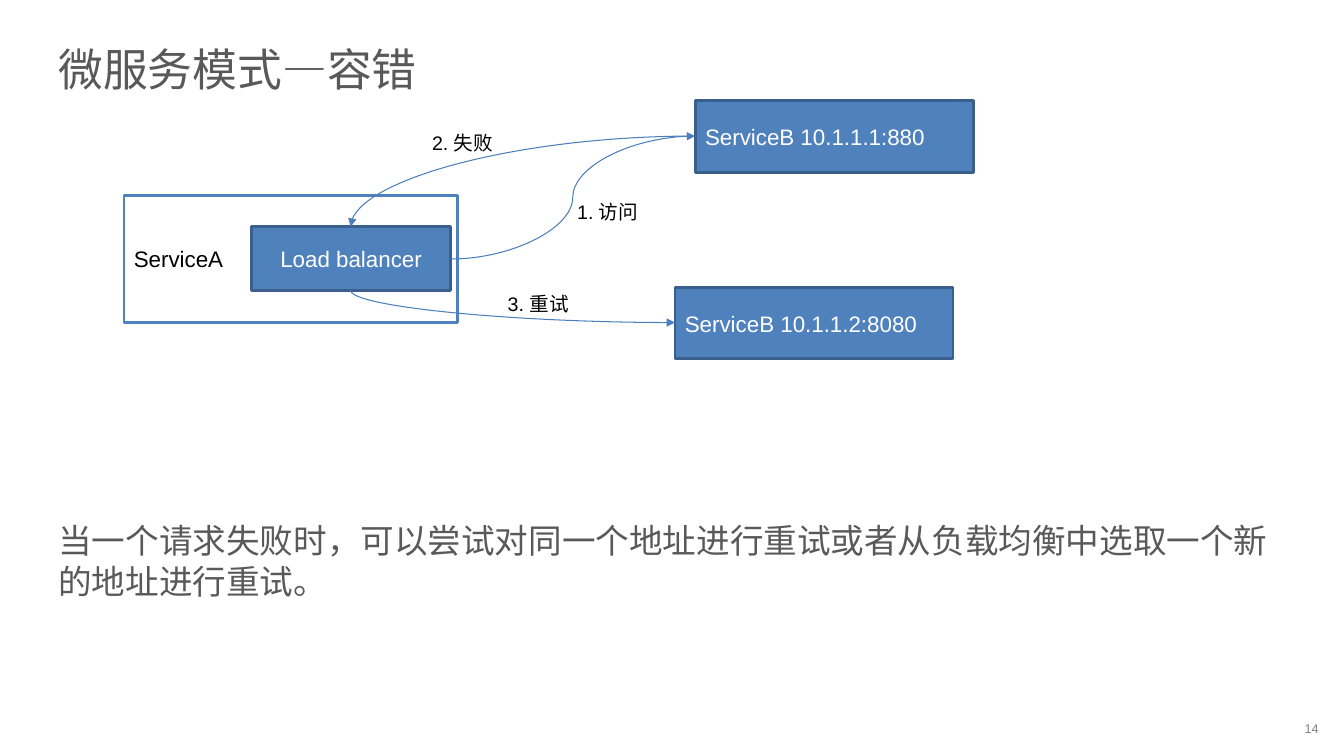
from dataclasses import dataclass

from lxml import etree
from pptx import Presentation
from pptx.dml.color import RGBColor
from pptx.enum.shapes import MSO_CONNECTOR as CONN, MSO_SHAPE as SHAPE
from pptx.enum.text import MSO_ANCHOR as ANCHOR, MSO_AUTO_SIZE as AUTO, PP_ALIGN as ALIGN
from pptx.oxml.ns import qn
from pptx.util import Emu, Pt

PX = 9144  # 100 px to the inch

WHITE = RGBColor(0xFF, 0xFF, 0xFF)
BLACK = RGBColor(0x00, 0x00, 0x00)
BLUE = RGBColor(0x4F, 0x81, 0xBD)
DARK_BLUE = RGBColor(0x3A, 0x5F, 0x8C)
ARROW_BLUE = RGBColor(0x4B, 0x7E, 0xBC)
TEXT_GRAY = RGBColor(0x59, 0x59, 0x59)
NUMBER_GRAY = RGBColor(0x80, 0x80, 0x80)


@dataclass
class Box:
    text: str
    x: int
    y: int
    w: int
    h: int
    fill: RGBColor = BLUE
    line: RGBColor = DARK_BLUE
    color: RGBColor = WHITE
    align: ALIGN = ALIGN.LEFT


@dataclass
class Arrow:
    x: int
    y: int
    w: int
    h: int
    preset: str
    flip: str
    rot: int = 0


@dataclass
class Label:
    text: str
    x: int
    y: int


BOXES = [
    Box("ServiceA", 123, 194, 331, 126, WHITE, BLUE, BLACK),
    Box("Load balancer", 250, 225, 197, 63, align=ALIGN.CENTER),
    Box("ServiceB 10.1.1.1:880", 690, 100, 276, 71),
    Box("ServiceB 10.1.1.2:8080", 670, 285, 276, 71),
]
ARROWS = [
    Arrow(447, 135, 243, 122, "curvedConnector3", "flipV"),
    Arrow(348, 135, 342, 90, "curvedConnector2", "flipV", 180),
    Arrow(493, 143, 32, 322, "curvedConnector2", "flipH", 270),
]
LABELS = [
    Label("3. 重试", 494, 285),
    Label("1. 访问", 563, 193),
    Label("2. 失败", 419, 125),
]


def px(n: int) -> Emu:
    return Emu(n * PX)


def write(s, text: str, *, size: int, color: RGBColor, align: ALIGN = ALIGN.LEFT,
          anchor: ANCHOR = ANCHOR.TOP, inset: tuple[int, int] = (10, 5)) -> None:
    tf = s.text_frame
    tf.word_wrap = True
    tf.auto_size = AUTO.NONE
    tf.vertical_anchor = anchor
    tf.margin_left = tf.margin_right = px(inset[0])
    tf.margin_top = tf.margin_bottom = px(inset[1])
    p = tf.paragraphs[0]
    p.alignment = align
    r = p.add_run()
    r.text = text
    r.font.name = "Arial"
    r.font.size = Pt(size)
    r.font.color.rgb = color


def add_text(slide, text: str, x: int, y: int, w: int, h: int, **fmt) -> None:
    write(slide.shapes.add_textbox(px(x), px(y), px(w), px(h)), text, **fmt)


def add_box(slide, b: Box) -> None:
    s = slide.shapes.add_shape(SHAPE.RECTANGLE, px(b.x), px(b.y), px(b.w), px(b.h))
    s.shadow.inherit = False
    s.fill.solid()
    s.fill.fore_color.rgb = b.fill
    s.line.color.rgb = b.line
    s.line.width = Pt(2)
    write(s, b.text, size=16, color=b.color, align=b.align, anchor=ANCHOR.MIDDLE)


def add_arrow(slide, a: Arrow) -> None:
    s = slide.shapes.add_connector(CONN.CURVE, px(a.x), px(a.y), px(a.x + a.w), px(a.y + a.h))
    s.line.color.rgb = ARROW_BLUE
    s.line.width = Pt(0.75)
    sp_pr = s._element.spPr
    xfrm = sp_pr.find(qn("a:xfrm"))
    xfrm.set("rot", str(a.rot * 60000))
    xfrm.set(a.flip, "1")
    sp_pr.find(qn("a:prstGeom")).set("prst", a.preset)
    etree.SubElement(sp_pr.find(qn("a:ln")), qn("a:tailEnd"), type="triangle")
    etree.SubElement(sp_pr, qn("a:effectLst"))


def main() -> None:
    prs = Presentation()
    prs.slide_width, prs.slide_height = px(1334), px(750)
    slide = prs.slides.add_slide(prs.slide_layouts[5])

    # Title and explanation
    title = slide.shapes.title
    title.left, title.top, title.width, title.height = px(45), px(36), px(1244), px(64)
    write(title, "微服务模式—容错", size=32, color=TEXT_GRAY, anchor=ANCHOR.MIDDLE, inset=(13, 7))
    add_text(slide, "当一个请求失败时，可以尝试对同一个地址进行重试或者从负载均衡中选取一个新的地址进行重试。",
             45, 509, 1244, 180, size=24, color=TEXT_GRAY, inset=(13, 7))

    # Retry diagram
    for box in BOXES:
        add_box(slide, box)
    for arrow in ARROWS:
        add_arrow(slide, arrow)
    for label in LABELS:
        add_text(slide, label.text, label.x, label.y, 142, 34, size=14, color=BLACK)

    # Slide number
    add_text(slide, "14", 1295, 715, 36, 20, size=9, color=NUMBER_GRAY, inset=(0, 0))

    prs.save("out.pptx")


if __name__ == "__main__":
    main()
